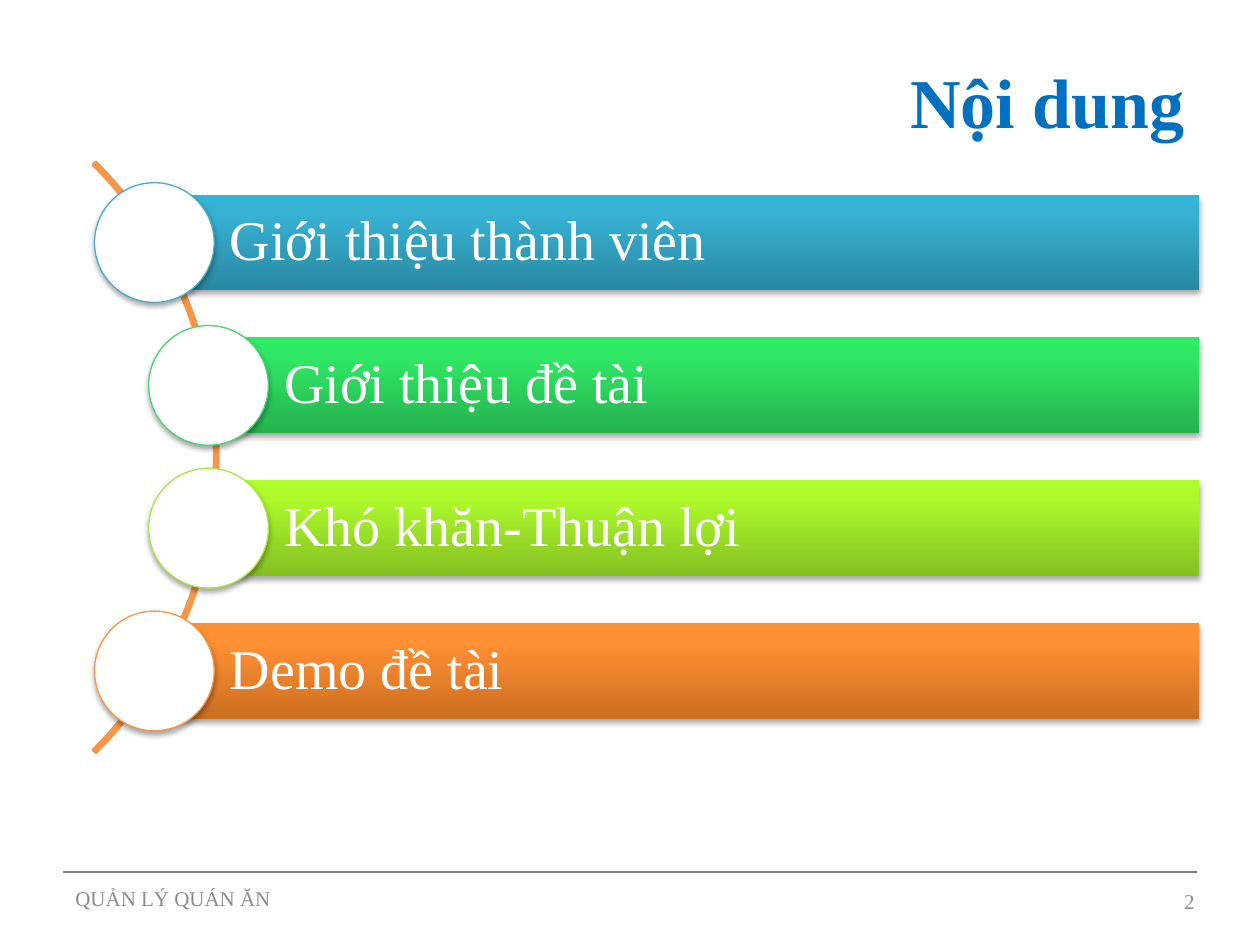
from lxml import etree
from pptx import Presentation
from pptx.dml.color import RGBColor
from pptx.enum.shapes import MSO_CONNECTOR, MSO_SHAPE
from pptx.enum.text import MSO_ANCHOR as ANCHOR, PP_ALIGN as ALIGN
from pptx.oxml import parse_xml
from pptx.oxml.ns import qn
from pptx.util import Inches, Pt

NS = 'xmlns:a="http://schemas.openxmlformats.org/drawingml/2006/main"'
SHADOW = (f'<a:effectLst {NS}><a:outerShdw blurRad="40000" dist="23000" dir="5400000" rotWithShape="0">'
          '<a:srgbClr val="000000"><a:alpha val="35000"/></a:srgbClr></a:outerShdw></a:effectLst>')


def color(value):
    return RGBColor.from_string(value)


class Deck:
    font = "Times New Roman"
    gray = "8C8C8C"

    def __init__(self):
        self.prs = Presentation()
        self.prs.slide_width, self.prs.slide_height = Inches(10), Inches(7.5)
        self.s = self.prs.slides.add_slide(self.prs.slide_layouts[5])

    def set_text(self, tf, text, size, hex_color, align=ALIGN.LEFT, bold=False):
        tf.word_wrap = True
        tf.vertical_anchor = ANCHOR.MIDDLE
        p = tf.paragraphs[0]
        p.text, p.alignment = text, align
        p.font.name, p.font.size, p.font.bold = self.font, Pt(size), bold
        p.font.color.rgb = color(hex_color)
        return p

    def title(self, text, x, y, w, h):
        sp = self.s.shapes.title
        sp.left, sp.top, sp.width, sp.height = map(Inches, (x, y, w, h))
        self.set_text(sp.text_frame, text, 40, "0070C0", ALIGN.RIGHT, True)

    def label(self, text, x, y, w, h, align=ALIGN.LEFT):
        sp = self.s.shapes.add_textbox(*map(Inches, (x, y, w, h)))
        self.set_text(sp.text_frame, text, 12, self.gray, align)

    def rule(self, x1, x2, y):
        line = self.s.shapes.add_connector(MSO_CONNECTOR.STRAIGHT, *map(Inches, (x1, y, x2, y)))
        self.outline(line, "808080", 0.75)
        etree.SubElement(line._element.spPr, qn("a:effectLst"))

    def shape(self, kind, x, y, w, h):
        return self.s.shapes.add_shape(kind, *map(Inches, (x, y, w, h)))

    def outline(self, sp, hex_color, width):
        sp.line.color.rgb = color(hex_color)
        sp.line.width = Pt(width)

    def arc(self, x, y, size, hex_color):
        sp = self.shape(MSO_SHAPE.BLOCK_ARC, x, y, size, size)
        for i, value in enumerate((189, 27, 0.004)):
            sp.adjustments[i] = value
        sp.fill.background()
        sp.shadow.inherit = False
        self.outline(sp, hex_color, 2)

    def bar(self, text, x, y, w, h, stops):
        sp = self.shape(MSO_SHAPE.RECTANGLE, x, y, w, h)
        gs = "".join(f'<a:gs pos="{pos}"><a:srgbClr val="{c}"/></a:gs>'
                     for pos, c in zip((0, 80000, 100000), stops))
        sp._element.spPr.append(parse_xml(
            f'<a:gradFill {NS} rotWithShape="1"><a:gsLst>{gs}</a:gsLst>'
            '<a:lin ang="16200000" scaled="0"/></a:gradFill>'))
        sp.line.fill.background()
        sp._element.spPr.append(parse_xml(SHADOW))
        tf = sp.text_frame
        p = self.set_text(tf, text, 32, "FFFFFF")
        p.line_spacing = 0.9
        tf.margin_left = Inches(0.6)
        tf.margin_top = tf.margin_right = tf.margin_bottom = Inches(0.09)

    def circle(self, x, y, size, hex_color):
        sp = self.shape(MSO_SHAPE.OVAL, x, y, size, size)
        sp.fill.solid()
        sp.fill.fore_color.rgb = color("FFFFFF")
        self.outline(sp, hex_color, 0.75)
        sp._element.spPr.append(parse_xml(SHADOW))


def main():
    deck = Deck()
    deck.rule(0.5, 9.5, 6.92)
    deck.title("Nội dung", 0.5, 0.17, 9, 1.25)
    deck.label("QUẢN LÝ QUÁN ĂN", 0.5, 6.93, 6.67, 0.4)
    deck.label("2", 7.25, 6.95, 2.33, 0.4, ALIGN.RIGHT)
    deck.arc(-4.89, 0.32, 6.62, "F79646")

    items = [
        ("Giới thiệu thành viên", 0.75, "4BACC6", ("2A88A2", "37B1D2", "34B4D6")),
        ("Giới thiệu đề tài", 1.18, "47D872", ("25B24E", "30E765", "2DEB64")),
        ("Khó khăn-Thuận lợi", 1.18, "ACE946", ("85C022", "ADF92C", "AFFE28")),
        ("Demo đề tài", 0.75, "F79646", ("CC6E20", "FF9034", "FF9136")),
    ]
    diameter, bar_height, right = 0.95, 0.76, 9.52
    pitch = 3.4 / (len(items) - 1)
    for i, (text, x, edge, stops) in enumerate(items):
        y = 1.45 + i * pitch
        bar_x = x + diameter / 2
        deck.bar(text, bar_x, y + (diameter - bar_height) / 2, right - bar_x, bar_height, stops)
        deck.circle(x, y, diameter, edge)

    deck.prs.save("out.pptx")


if __name__ == "__main__":
    main()
